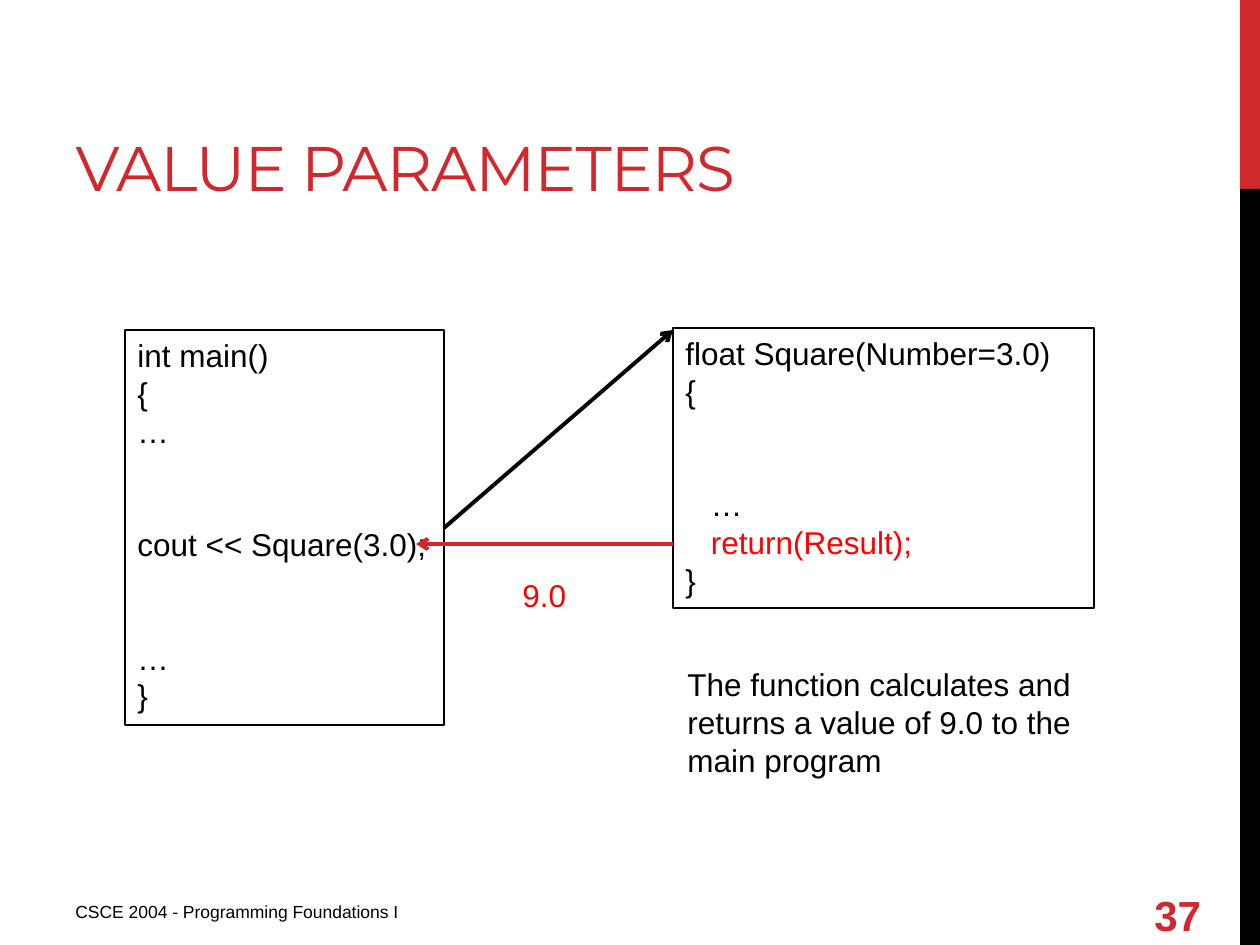
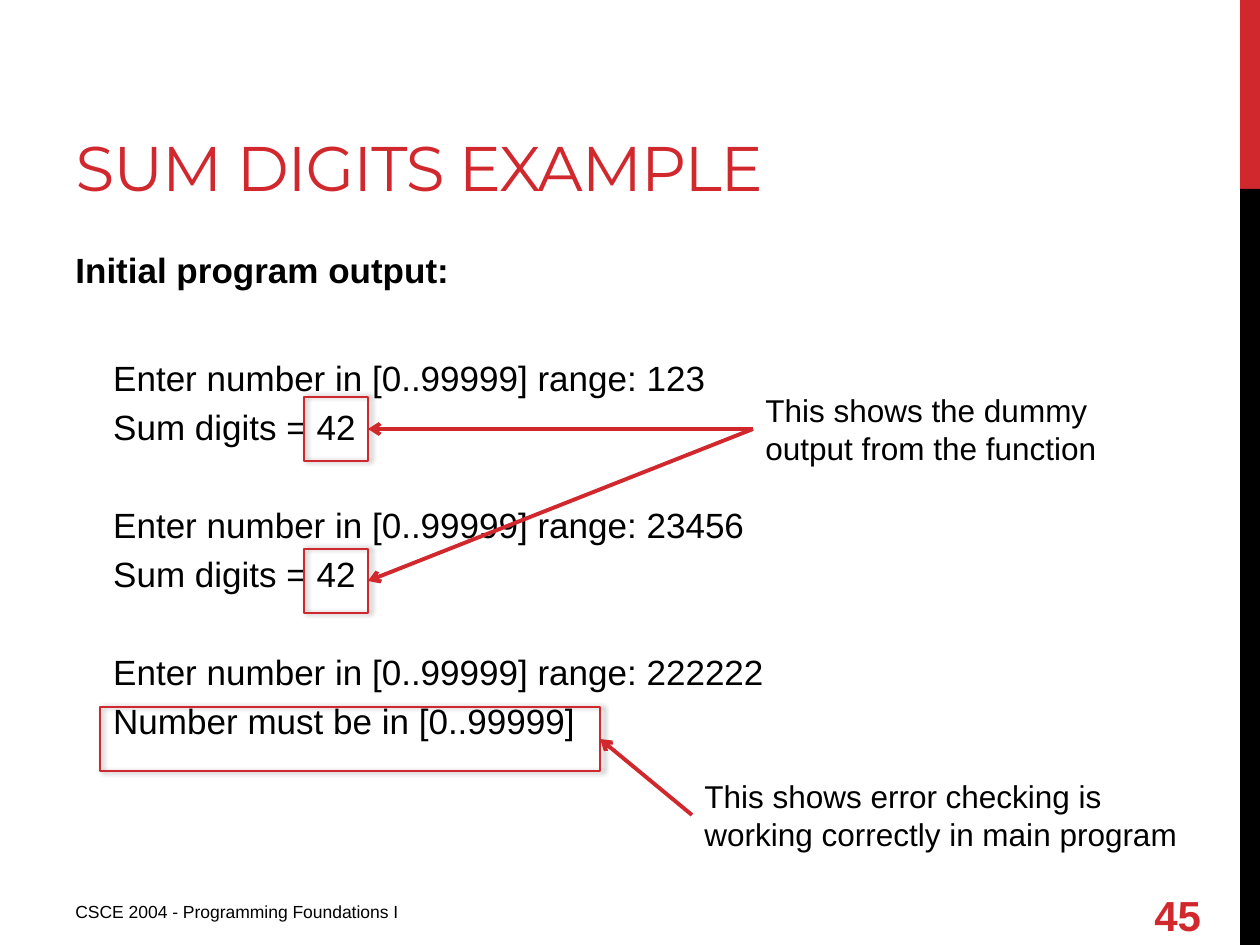
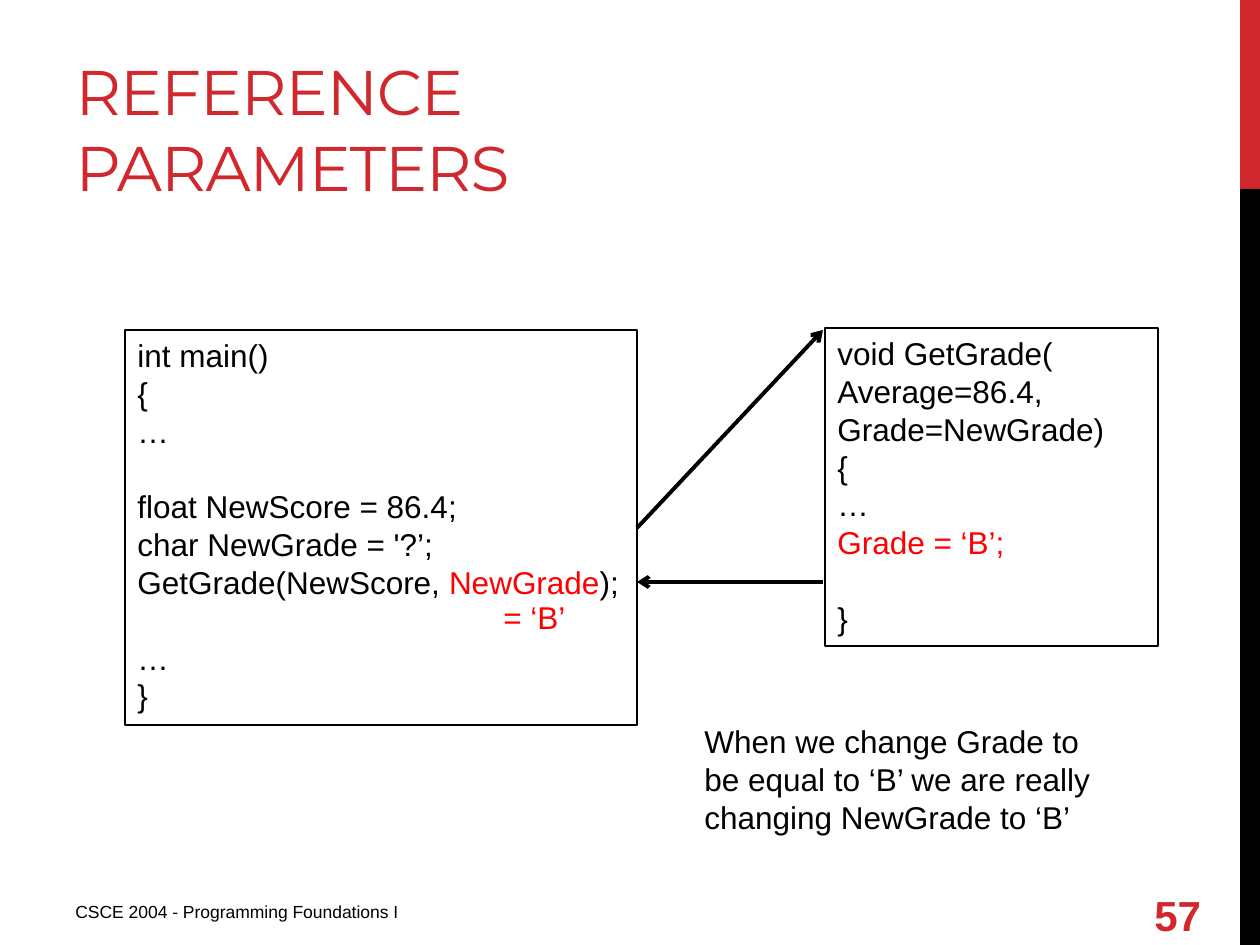
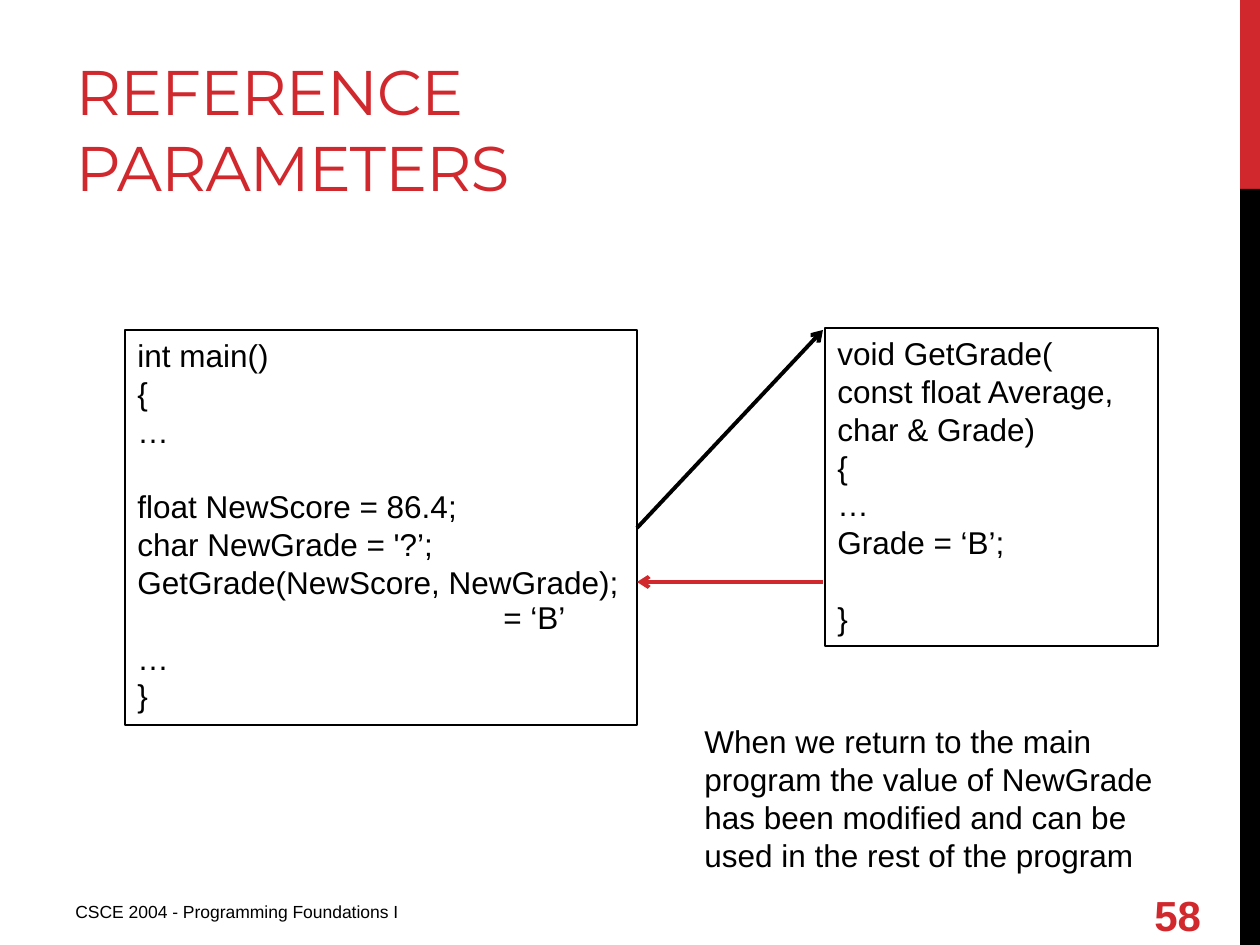
from lxml import etree
from pptx import Presentation
from pptx import util as u
from pptx.dml.color import RGBColor
from pptx.enum import shapes, text
from pptx.oxml.ns import qn

PX = u.Inches(1) / 126
RED, BLACK, CODE_RED = "D1282E", "000000", "FF0000"
rgb = RGBColor.from_string
RECT = shapes.MSO_SHAPE.RECTANGLE


def add_text(s, box, content, size=18, color=BLACK, mark=None, gap=0, border=False):
    """Add lines of text; empty lines become spacing, leading spaces an indent, mark turns red."""
    sp = s.shapes.add_textbox(*[int(v * PX) for v in box])
    if border:
        sp.line.color.rgb = rgb(BLACK)
        sp.line.width = u.Pt(0.75)
    tf = sp.text_frame
    tf.word_wrap = True
    pitch, blanks, p = 1.2 * size, 0, None
    for line in content.split("\n"):
        if not line:
            blanks += 1
            continue
        p = tf.add_paragraph() if p is not None else tf.paragraphs[0]
        words = line.lstrip()
        indent = 0.27 * size * (len(line) - len(words))
        p._p.get_or_add_pPr().set("marL", str(u.Pt(indent)))
        p.line_spacing = u.Pt(pitch)
        p.space_before = u.Pt(gap + blanks * (pitch + gap))
        blanks = 0
        for part in words.partition(mark) if mark else [words]:
            if part:
                r = p.add_run()
                r.text = part
                r.font.name = "Arial"
                r.font.size = u.Pt(size)
                r.font.color.rgb = rgb(CODE_RED if part == mark else color)
    return sp


def add_arrow(s, x1, y1, x2, y2, color=RED):
    """Draw an arrow that points at the second end."""
    ends = [int(v * PX) for v in (x1, y1, x2, y2)]
    c = s.shapes.add_connector(shapes.MSO_CONNECTOR.STRAIGHT, *ends)
    c.line.color.rgb = rgb(color)
    c.line.width = u.Pt(2.25)
    etree.SubElement(c.line._get_or_add_ln(), qn("a:tailEnd"), type="arrow")
    etree.SubElement(c._element.spPr, qn("a:effectLst"))


prs = Presentation()
prs.slide_width, prs.slide_height = u.Inches(10), u.Inches(7.5)

# Shared frame: side bands, title, footer and page number
slides = []
for title, number in [("VALUE PARAMETERS", 37), ("SUM DIGITS EXAMPLE", 45),
                      ("REFERENCE PARAMETERS", 57), ("REFERENCE PARAMETERS", 58)]:
    s = prs.slides.add_slide(prs.slide_layouts[5])
    slides.append(s)
    for top, height, color in [(0, 189, RED), (189, 756, BLACK)]:
        band = s.shapes.add_shape(RECT, *[int(v * PX) for v in (1240, top, 20, height)])
        band.shadow.inherit = False
        band.fill.solid()
        band.fill.fore_color.rgb = rgb(color)
        band.line.fill.background()
    sp = s.shapes.title
    sp.left, sp.top, sp.width, sp.height = [int(v * PX) for v in (63, 21, 798, 189)]
    tf = sp.text_frame
    tf.text = title
    tf.word_wrap = True
    tf.auto_size = text.MSO_AUTO_SIZE.NONE
    tf.vertical_anchor = text.MSO_ANCHOR.BOTTOM
    p = tf.paragraphs[0]
    p.alignment = text.PP_ALIGN.LEFT
    r = p.runs[0]
    r.font.name = "Montserrat"
    r.font.size = u.Pt(36)
    r.font.color.rgb = rgb(RED)
    r._r.get_or_add_rPr().set("spc", "-60")
    add_text(s, (63, 895, 473, 39), "CSCE 2004 - Programming Foundations I", size=10)
    tf = add_text(s, (1142, 890, 93, 50), str(number), size=24, color=RED).text_frame
    tf.vertical_anchor = text.MSO_ANCHOR.MIDDLE
    tf.paragraphs[0].runs[0].font.bold = True

value_slide, output_slide, *reference_slides = slides

# Value parameters
s = value_slide
add_text(s, (125, 330, 319, 395),
         "int main()\n{\n…\n\n\ncout << Square(3.0);\n\n\n…\n}", border=True)
add_text(s, (673, 328, 421, 280),
         "float Square(Number=3.0)\n{\n\n\n   …\n   return(Result);\n}",
         mark="return(Result);", border=True)
add_arrow(s, 444, 528, 673, 330, BLACK)
add_arrow(s, 673, 544, 416, 544)
add_text(s, (675, 659, 436, 127),
         "The function calculates and returns a value of 9.0 to the main program")
add_text(s, (510, 570, 96, 50), "9.0", color=CODE_RED)

# Sum digits output
s = output_slide
sp = add_text(s, (63, 242, 1050, 602),
              "Initial program output:\n\n"
              "    Enter number in [0..99999] range: 123\n    Sum digits = 42\n\n"
              "    Enter number in [0..99999] range: 23456\n    Sum digits = 42\n\n"
              "    Enter number in [0..99999] range: 222222\n    Number must be in [0..99999]",
              size=20, gap=4)
heading = sp.text_frame.paragraphs[0]
heading.space_after = u.Pt(6)
heading.runs[0].font.bold = True
for left, top, width in [(304, 397, 64), (304, 549, 64), (100, 707, 500)]:
    frame = s.shapes.add_shape(RECT, *[int(v * PX) for v in (left, top, width, 64)])
    frame.fill.background()
    frame.line.color.rgb = rgb(RED)
    frame.line.width = u.Pt(1)
    frame.shadow.inherit = False
    effects = frame._element.spPr.find(qn("a:effectLst"))
    shadow = etree.SubElement(effects, qn("a:outerShdw"), blurRad=str(u.Pt(3.1)),
                              dist=str(u.Pt(1.8)), dir="0", rotWithShape="0")
    shade = etree.SubElement(shadow, qn("a:srgbClr"), val=BLACK)
    etree.SubElement(shade, qn("a:alpha"), val="40000")
add_text(s, (753, 385, 388, 89), "This shows the dummy output from the function")
add_text(s, (692, 771, 510, 89),
         "This shows error checking is working correctly in main program")
add_arrow(s, 753, 429, 368, 429)
add_arrow(s, 753, 429, 368, 581)
add_arrow(s, 692, 815, 600, 739)

# Reference parameters: the call, then the return
steps = [
    ("Average=86.4,\nGrade=NewGrade)", "NewGrade", "Grade = ‘B’;", CODE_RED, BLACK, (426, 127),
     "When we change Grade to be equal to ‘B’ we are really changing NewGrade to ‘B’"),
    ("const float Average,\nchar & Grade)", None, None, BLACK, RED, (490, 165),
     "When we return to the main program the value of NewGrade has been modified "
     "and can be used in the rest of the program"),
]
for s, step in zip(reference_slides, steps):
    parameters, argument, assignment, result_color, return_color, note_size, note = step
    sp = add_text(s, (125, 330, 512, 395),
                  "int main()\n{\n…\n\nfloat NewScore = 86.4;\nchar NewGrade = '?’;\n"
                  "GetGrade(NewScore, NewGrade);\n\n…\n}", border=True)
    if argument:
        call = sp.text_frame.paragraphs[5]
        before, name, after = call.text.partition(argument)
        call.runs[0].text = before
        for part, color in [(name, CODE_RED), (after, BLACK)]:
            r = call.add_run()
            r.text = part
            r.font.name = "Arial"
            r.font.size = u.Pt(18)
            r.font.color.rgb = rgb(color)
    add_text(s, (825, 328, 333, 318),
             f"void GetGrade(\n{parameters}\n{{\n…\nGrade = ‘B’;\n\n}}",
             mark=assignment, border=True)
    add_arrow(s, 637, 528, 823, 330, BLACK)
    add_arrow(s, 823, 582, 637, 582, return_color)
    add_text(s, (692, 716, *note_size), note)
    sp = add_text(s, (491, 592, 87, 50), "= ‘B’", color=result_color)
    sp.text_frame.word_wrap = False

prs.save("out.pptx")
